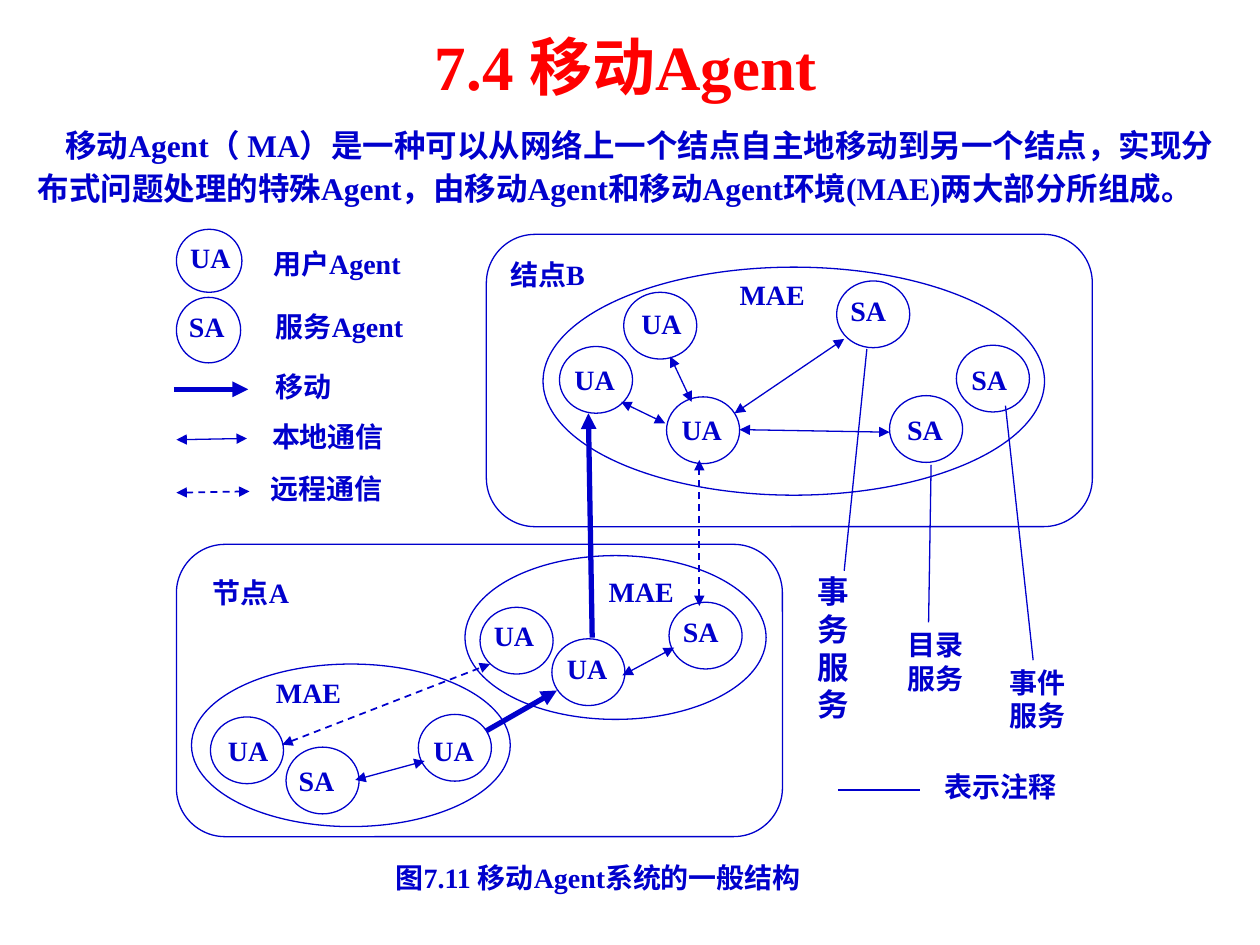
from lxml.etree import SubElement
from pptx import Presentation
from pptx.dml.color import RGBColor
from pptx.enum.dml import MSO_LINE_DASH_STYLE as Dash
from pptx.enum.shapes import MSO_CONNECTOR_TYPE as Connector
from pptx.enum.shapes import MSO_AUTO_SHAPE_TYPE as Shape
from pptx.enum.text import MSO_ANCHOR as Anchor
from pptx.enum.text import PP_ALIGN as Align
from pptx.oxml.ns import qn
from pptx.util import Inches, Pt

BLUE = RGBColor(0x00, 0x00, 0xCC)
RED = RGBColor(0xFF, 0x00, 0x00)
WHITE = RGBColor(0xFF, 0xFF, 0xFF)
FONT = "Times New Roman"
NODE_SIZE = (0.58, 0.53)

FRAMES = [
    (Shape.ROUNDED_RECTANGLE, 1.4, 4.32, 4.81, 2.32),
    (Shape.OVAL, 1.52, 5.27, 2.53, 1.29),
    (Shape.OVAL, 3.69, 4.41, 2.39, 1.3),
    (Shape.ROUNDED_RECTANGLE, 3.86, 1.86, 4.81, 2.32),
    (Shape.OVAL, 4.31, 2.12, 3.98, 1.81),
]
NODES = [
    ("UA", 1.67, 5.69, 0.14, 0.13),
    ("UA", 3.32, 5.67, 0.12, 0.15),
    ("SA", 2.27, 5.93, 0.1, 0.13),
    ("UA", 3.81, 4.82, 0.11, 0.09),
    ("UA", 4.38, 5.07, 0.12, 0.1),
    ("SA", 5.31, 4.78, 0.11, 0.1),
    ("UA", 4.44, 2.75, 0.12, 0.13),
    ("SA", 6.64, 2.23, 0.11, 0.1),
    ("SA", 7.59, 2.74, 0.12, 0.14),
    ("SA", 7.06, 3.14, 0.14, 0.13),
    ("UA", 4.95, 2.32, 0.14, 0.11),
    ("UA", 5.29, 3.15, 0.12, 0.12),
]
LEGEND_NODES = [
    ("UA", 1.4, 1.82, 0.11, 0.09, (0.52, 0.5)),
    ("SA", 1.4, 2.36, 0.1, 0.1, (0.51, 0.52)),
]
REMOTE_LINKS = [
    (5.55, 4.81, 5.55, 3.65),
    (2.24, 5.91, 3.89, 5.27),
    (1.4, 3.91, 1.98, 3.9),
]
LOCAL_LINKS = [
    (2.82, 6.19, 3.37, 6.04),
    (5.35, 5.14, 4.94, 5.36),
    (5.28, 3.36, 4.93, 3.19),
    (5.49, 3.19, 5.32, 2.83),
    (5.83, 3.28, 6.7, 2.69),
    (5.87, 3.41, 7.06, 3.43),
    (1.4, 3.49, 1.96, 3.48),
]
MOVES = [
    (3.86, 5.8, 4.42, 5.48),
    (4.7, 5.06, 4.67, 3.28),
    (1.38, 3.09, 1.97, 3.09),
]
NOTE_LINES = [
    (6.88, 2.77, 6.7, 4.53),
    (7.39, 3.69, 7.37, 4.94),
    (7.98, 3.22, 8.2, 5.24),
    (6.65, 6.27, 7.3, 6.27),
]
LABELS = [
    ("MAE", 2.19, 5.36, 0.52, 0.24),
    ("MAE", 4.83, 4.56, 0.52, 0.24),
    ("MAE", 5.87, 2.2, 0.52, 0.24),
    ("节点A", 1.69, 4.57, 0.64, 0.31),
    ("结点B", 4.05, 2.04, 0.68, 0.31),
    ("用户Agent", 2.17, 1.96, 1.13, 0.27),
    ("服务Agent", 2.19, 2.46, 1.12, 0.27),
    ("移动", 2.19, 2.93, 0.72, 0.32),
    ("本地通信", 2.16, 3.33, 0.94, 0.27),
    ("远程通信", 2.15, 3.74, 0.93, 0.29),
    ("事件\n服务", 8.01, 5.28, 0.5, 0.6),
    ("目录\n服务", 7.2, 4.98, 0.5, 0.61),
    ("表示注释", 7.5, 6.11, 0.93, 0.29),
    ("图7.11 移动Agent系统的一般结构", 3.14, 6.83, 3.61, 0.31),
]
INTRODUCTION = (
    "移动Agent（ MA）是一种可以从网络上一个结点自主地移动到另一个结点，"
    "实现分布式问题处理的特殊Agent，由移动Agent和移动Agent环境(MAE)两大部分所组成。"
)


class DiagramSlide:
    def __init__(self, slide):
        self.slide = slide
        self.shapes = slide.shapes

    def run(self, paragraph, text, size, color=BLUE):
        run = paragraph.add_run()
        run.text = text
        run.font.name = FONT
        run.font.size = Pt(size)
        run.font.bold = True
        run.font.color.rgb = color

    def title(self, text, left, top, width, height):
        title = self.shapes.title
        title.left, title.top = Inches(left), Inches(top)
        title.width, title.height = Inches(width), Inches(height)
        title.text_frame.vertical_anchor = Anchor.TOP
        paragraph = title.text_frame.paragraphs[0]
        paragraph.alignment = Align.CENTER
        self.run(paragraph, text, 36, RED)

    def body(self, text, left, top, width, height):
        box = self.shapes.add_textbox(
            Inches(left), Inches(top), Inches(width), Inches(height))
        box.text_frame.word_wrap = True
        paragraph = box.text_frame.paragraphs[0]
        paragraph.line_spacing = 1.14
        properties = paragraph._p.get_or_add_pPr()
        properties.set("marL", "0")
        properties.set("indent", str(Inches(0.22)))
        self.run(paragraph, text, 18)

    def outline(self, kind, left, top, width, height):
        shape = self.shapes.add_shape(
            kind, Inches(left), Inches(top), Inches(width), Inches(height))
        shape.shadow.inherit = False
        shape.fill.solid()
        shape.fill.fore_color.rgb = WHITE
        shape.line.color.rgb = BLUE
        shape.line.width = Pt(0.75)
        return shape

    def label(self, text, left, top, width, height, size=16):
        shape = self.outline(Shape.RECTANGLE, left, top, width, height)
        shape.line.fill.background()
        frame = shape.text_frame
        frame.word_wrap = True
        frame.vertical_anchor = Anchor.TOP
        frame.margin_left = frame.margin_right = 0
        frame.margin_top = frame.margin_bottom = 0
        for index, line in enumerate(text.split("\n")):
            paragraph = frame.add_paragraph() if index else frame.paragraphs[0]
            paragraph.alignment = Align.JUSTIFY
            self.run(paragraph, line, size)

    def node(self, text, left, top, offset_x, offset_y, size=NODE_SIZE):
        self.outline(Shape.OVAL, left, top, *size)
        self.label(text, left + offset_x, top + offset_y, 0.33, 0.29)

    def line(self, start_x, start_y, end_x, end_y, width=0.75, ends=(), dash=None):
        connector = self.shapes.add_connector(
            Connector.STRAIGHT, Inches(start_x), Inches(start_y),
            Inches(end_x), Inches(end_y))
        connector.line.color.rgb = BLUE
        connector.line.width = Pt(width)
        if dash:
            connector.line.dash_style = dash
        properties = connector._element.spPr
        for end in ends:
            SubElement(properties.find(qn("a:ln")), qn(end), type="triangle")
        SubElement(properties, qn("a:effectLst"))


def main():
    presentation = Presentation()
    presentation.slide_width, presentation.slide_height = Inches(10), Inches(7.5)
    diagram = DiagramSlide(presentation.slides.add_slide(presentation.slide_layouts[5]))
    both_ends = ("a:headEnd", "a:tailEnd")

    for frame in FRAMES:
        diagram.outline(*frame)
    for node in NODES + LEGEND_NODES:
        diagram.node(*node)
    for label in LABELS:
        diagram.label(*label)
    diagram.label("事务\n服务", 6.49, 4.54, 0.42, 0.61, size=18)
    for link in REMOTE_LINKS:
        diagram.line(*link, width=1, ends=both_ends, dash=Dash.DASH)
    for link in LOCAL_LINKS:
        diagram.line(*link, ends=both_ends)
    for move in MOVES:
        diagram.line(*move, width=3, ends=("a:tailEnd",))
    for note_line in NOTE_LINES:
        diagram.line(*note_line)
    diagram.title("7.4 移动Agent", 0.24, 0.17, 9.45, 0.7)
    diagram.body(INTRODUCTION, 0.2, 0.91, 9.61, 1.13)

    presentation.save("out.pptx")


if __name__ == "__main__":
    main()
